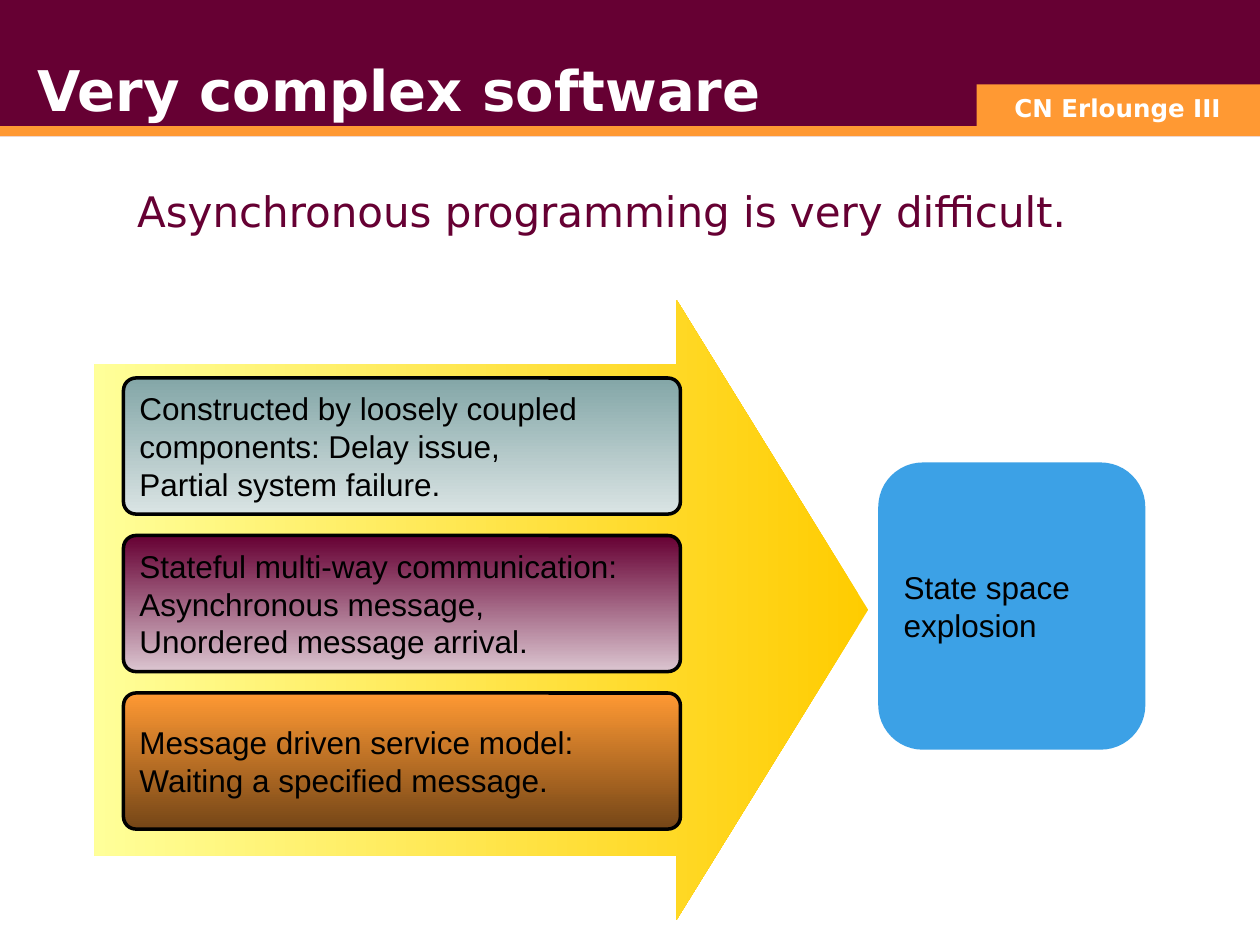
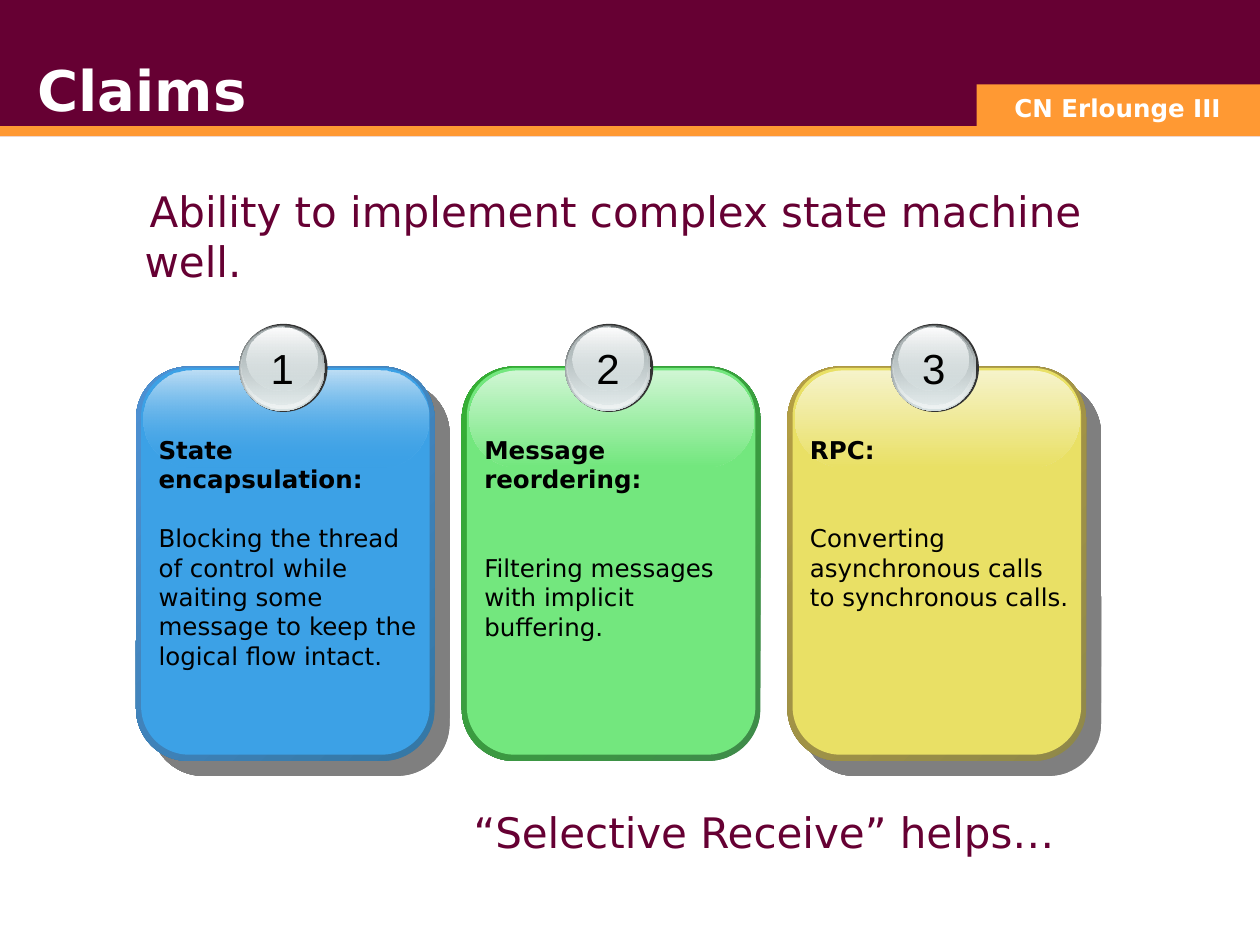
"""Build two slides on complex software and on the claims for selective receive."""
from lxml.etree import SubElement
from pptx import Presentation
from pptx.dml.color import RGBColor
from pptx.enum.shapes import MSO_SHAPE
from pptx.enum.text import MSO_ANCHOR, PP_ALIGN
from pptx.oxml.ns import qn
from pptx.util import Emu, Inches, Pt

COLOURS = {
    "wine": "660033", "orange": "FF9933", "white": "FFFFFF", "black": "000000",
    "gold": "FFCC00", "cream": "FFFF99", "teal": "83A6A7", "mist": "DAE4E4",
    "rose": "DBC5D0", "brown": "754617", "charcoal": "333333", "slate": "626768",
    "silver": "D6E1E2", "pearl": "EFF3F3", "steel": "A8B1B2", "snow": "FEFEFE",
    "blue": "3CA1E6", "blue dark": "3477A4", "blue edge": "4E91D4", "blue light": "BDDEF5",
    "green": "73E77E", "green dark": "3F8B4A", "green edge": "34B034", "green light": "CFF6D3",
    "yellow": "E9E065", "yellow dark": "8F8849", "yellow edge": "B59F43", "yellow light": "F6F3CA",
}
SANS, ARIAL = "DejaVu Sans", "Arial"
EVENT = "CN Erlounge III"

COMPLEXITY = {
    "title": "Very complex software",
    "lead": ["Asynchronous programming is very difficult."],
    "lead indent": -0.06,
    "causes": [
        (["Constructed by loosely coupled", "components: Delay issue,", "Partial system failure."],
         "teal", "mist"),
        (["Stateful multi-way communication:", "Asynchronous message,", "Unordered message arrival."],
         "wine", "rose"),
        (["Message driven service model:", "Waiting a specified message."], "orange", "brown"),
    ],
    "result": ["State space", "explosion"],
}
CLAIMS = {
    "title": "Claims",
    "lead": ["Ability to implement complex state machine well."],
    "lead indent": 0.04,
    "cards": [
        {"colour": "blue", "heading": "State encapsulation:", "gap lines": 1, "shadow": True,
         "gloss end": 0,
         "body": ["Blocking the thread of control while waiting some", "message to keep the",
                  "logical flow intact."]},
        {"colour": "green", "heading": "Message reordering:", "gap lines": 2, "shadow": False,
         "gloss end": 100,
         "body": ["Filtering messages with implicit buffering."]},
        {"colour": "yellow", "heading": "RPC:", "gap lines": 2, "shadow": True,
         "gloss end": 100,
         "body": ["Converting asynchronous calls to synchronous calls."]},
    ],
    "closing": ["“Selective Receive” helps…"],
}

CARD_FIRST, CARD_LAST, CARD_TOP = 1.08, 6.25, 2.91
CAUSE_TOP, CAUSE_PITCH = 3, 1.25
LINE_POINTS = 17
BALL_LAYERS = [
    ((0.82, 2.57, 0.7, 0.7), ["charcoal"]),
    ((0.82, 2.58, 0.68, 0.68), ["slate", "silver"]),
    ((0.83, 2.58, 0.66, 0.66), [("silver", 0), "pearl"]),
    ((0.84, 2.59, 0.63, 0.62), ["steel", ("silver", 48)]),
    ((0.88, 2.6, 0.56, 0.5), ["snow", ("silver", 38)]),
]


def rgb(name):
    """Return the colour of that name."""
    return RGBColor.from_string(COLOURS[name])


def set_alpha(colour_element, percent):
    """Give a colour element an opacity."""
    SubElement(colour_element, qn("a:alpha"), val=str(percent * 1000))


def paint(shape, fills, angle=90):
    """Fill a shape with one colour, or with a gradient running clockwise from angle."""
    if len(fills) == 1:
        shape.fill.solid()
        shape.fill.fore_color.rgb = rgb(fills[0])
        return
    shape.fill.gradient()
    shape.fill.gradient_angle = 360 - angle
    opacities = []
    for stop, entry in zip(shape.fill.gradient_stops, fills):
        name, opacity = entry if isinstance(entry, tuple) else (entry, 100)
        stop.color.rgb = rgb(name)
        opacities.append(opacity)
    for element, opacity in zip(list(shape._element.spPr.iter(qn("a:srgbClr"))), opacities):
        if opacity < 100:
            set_alpha(element, opacity)


def add_block(slide, kind, box, fills, angle=90, adjustments=()):
    """Add a preset shape without line or shadow."""
    shape = slide.shapes.add_shape(kind, *map(Inches, box))
    shape.shadow.inherit = False
    shape.line.fill.background()
    for index, value in enumerate(adjustments):
        shape.adjustments[index] = value
    paint(shape, fills, angle)
    return shape


def write(shape, lines, size, colour="black", font=SANS, bold=False,
          align=PP_ALIGN.LEFT, anchor=MSO_ANCHOR.TOP, wrap=True):
    """Write one paragraph a line in a single style."""
    frame = shape.text_frame
    frame.text = "\n".join(lines)
    frame.word_wrap = wrap
    frame.vertical_anchor = anchor
    for paragraph in frame.paragraphs:
        paragraph.alignment = align
        for run in paragraph.runs:
            run.font.name = font
            run.font.size = Pt(size)
            run.font.bold = bold
            run.font.color.rgb = rgb(colour)
    return frame


def add_text(slide, box, lines, size, **style):
    """Add a text box."""
    return write(slide.shapes.add_textbox(*map(Inches, box)), lines, size, **style)


def add_base(presentation, content):
    """Add a slide with bands, event badge, title and lead sentence."""
    slide = presentation.slides.add_slide(presentation.slide_layouts[6])
    for box, colour in [((0, 0, 10, 1.08), "wine"), ((0, 1, 10, 0.08), "orange"),
                        ((7.75, 0.67, 2.25, 0.33), "orange")]:
        add_block(slide, MSO_SHAPE.RECTANGLE, box, [colour])
    add_text(slide, (7.83, 0.69, 2.08, 0.31), [EVENT], 14, colour="white", bold=True,
             align=PP_ALIGN.CENTER)
    add_text(slide, (0.2, 0.33, 8.72, 0.76), [content["title"]], 32, colour="white", bold=True,
             anchor=MSO_ANCHOR.MIDDLE)
    lead = add_text(slide, (0.67, 1.42, 8.27, 1), content["lead"], 24, colour="wine")
    properties = lead.paragraphs[0]._p.get_or_add_pPr()
    properties.set("marL", str(Inches(0.38)))
    properties.set("indent", str(Inches(content["lead indent"])))
    return slide


def add_shadow(shape):
    """Cast a half transparent shadow to the lower right."""
    effects = shape._element.spPr.find(qn("a:effectLst"))
    shadow = SubElement(effects, qn("a:outerShdw"), dist=str(Emu(Pt(12.1))), dir="2700000",
                        algn="ctr", rotWithShape="0")
    set_alpha(SubElement(shadow, qn("a:srgbClr"), val=COLOURS["black"]), 50)


def add_card(slide, left, number, card):
    """Add a glossy card with its numbered ball."""
    colour = card["colour"]
    rounded = MSO_SHAPE.ROUNDED_RECTANGLE
    rim = add_block(slide, rounded, (left, CARD_TOP, 2.37, 3.13),
                    [f"{colour} dark", f"{colour} edge"], 225, [0.175])
    if card["shadow"]:
        add_shadow(rim)
    add_block(slide, rounded, (left + 0.04, CARD_TOP + 0.01, 2.29, 3.07), [colour],
              adjustments=[0.167])
    add_block(slide, rounded, (left + 0.06, CARD_TOP + 0.03, 2.26, 0.77),
              [f"{colour} light", (colour, card["gloss end"])], adjustments=[0.5])
    for (shift, *rest), fills in BALL_LAYERS:
        add_block(slide, MSO_SHAPE.OVAL, (left + shift, *rest), fills)
    add_text(slide, (left + 0.97, 2.67, 0.38, 0.5), [str(number)], 24, font=ARIAL,
             align=PP_ALIGN.CENTER, wrap=False)
    frame = add_text(slide, (left + 0.08, 3.4, 2.25, 1.74), [card["heading"], *card["body"]], 14)
    heading, body = frame.paragraphs[:2]
    heading.runs[0].font.bold = True
    body.space_before = Pt(LINE_POINTS * card["gap lines"])


def build_complexity(presentation):
    """Build the slide where three causes lead to one result."""
    slide = add_base(presentation, COMPLEXITY)
    add_block(slide, MSO_SHAPE.RIGHT_ARROW, (0.75, 2.38, 6.14, 4.92), ["gold", "cream"], 180,
              [0.793, 0.309])
    label = {"font": ARIAL, "anchor": MSO_ANCHOR.MIDDLE}
    for row, (lines, *fills) in enumerate(COMPLEXITY["causes"]):
        cause = add_block(slide, MSO_SHAPE.ROUNDED_RECTANGLE,
                          (0.98, CAUSE_TOP + row * CAUSE_PITCH, 4.42, 1.08), fills,
                          adjustments=[0.091])
        cause.line.color.rgb = rgb("black")
        cause.line.width = Pt(2)
        write(cause, lines, 18, **label)
    result = add_block(slide, MSO_SHAPE.ROUNDED_RECTANGLE, (6.97, 3.67, 2.12, 2.28), ["blue"],
                       adjustments=[0.167])
    write(result, COMPLEXITY["result"], 18, **label)


def build_claims(presentation):
    """Build the slide with one card for each claim."""
    slide = add_base(presentation, CLAIMS)
    cards = CLAIMS["cards"]
    pitch = (CARD_LAST - CARD_FIRST) / (len(cards) - 1)
    for index, card in enumerate(cards):
        add_card(slide, CARD_FIRST + index * pitch, index + 1, card)
    add_text(slide, (3.66, 6.35, 4.88, 0.5), CLAIMS["closing"], 24, colour="wine")


def main():
    """Build and save the presentation."""
    presentation = Presentation()
    presentation.slide_width, presentation.slide_height = Inches(10), Inches(7.5)
    build_complexity(presentation)
    build_claims(presentation)
    presentation.save("out.pptx")


if __name__ == "__main__":
    main()
